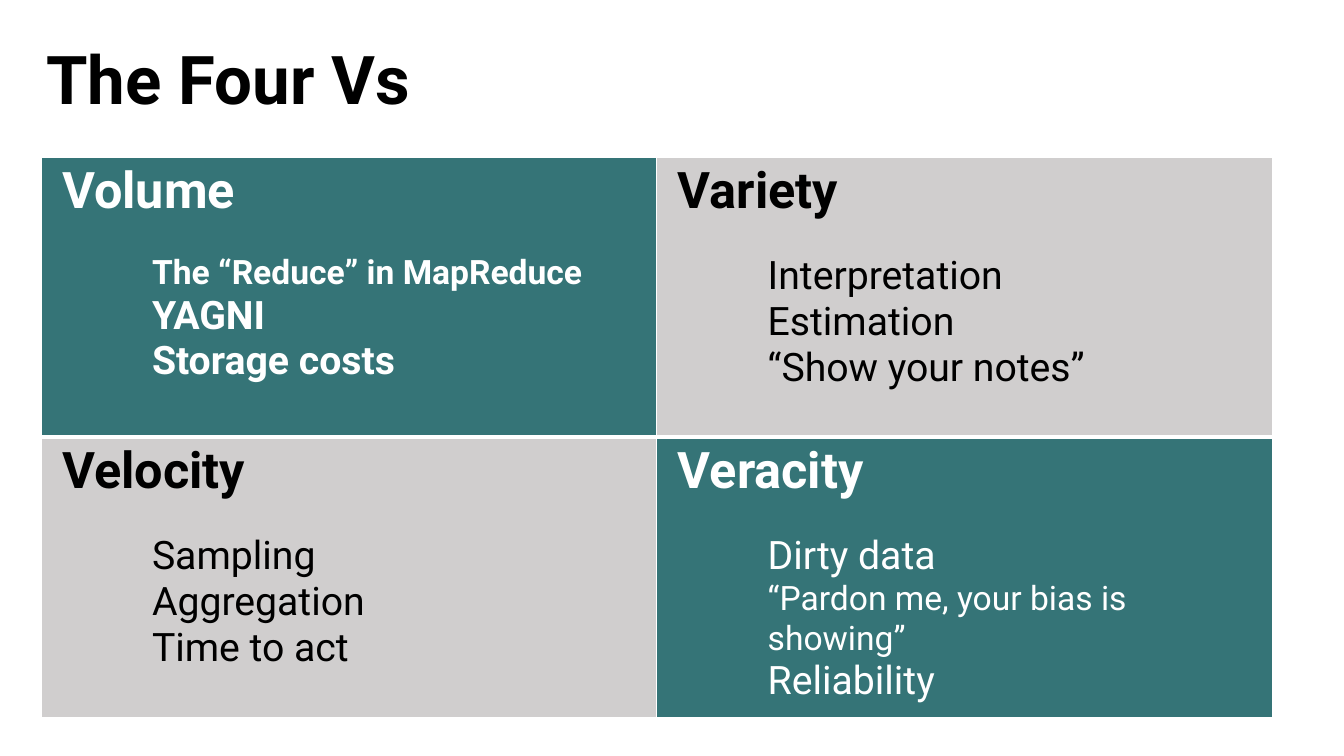
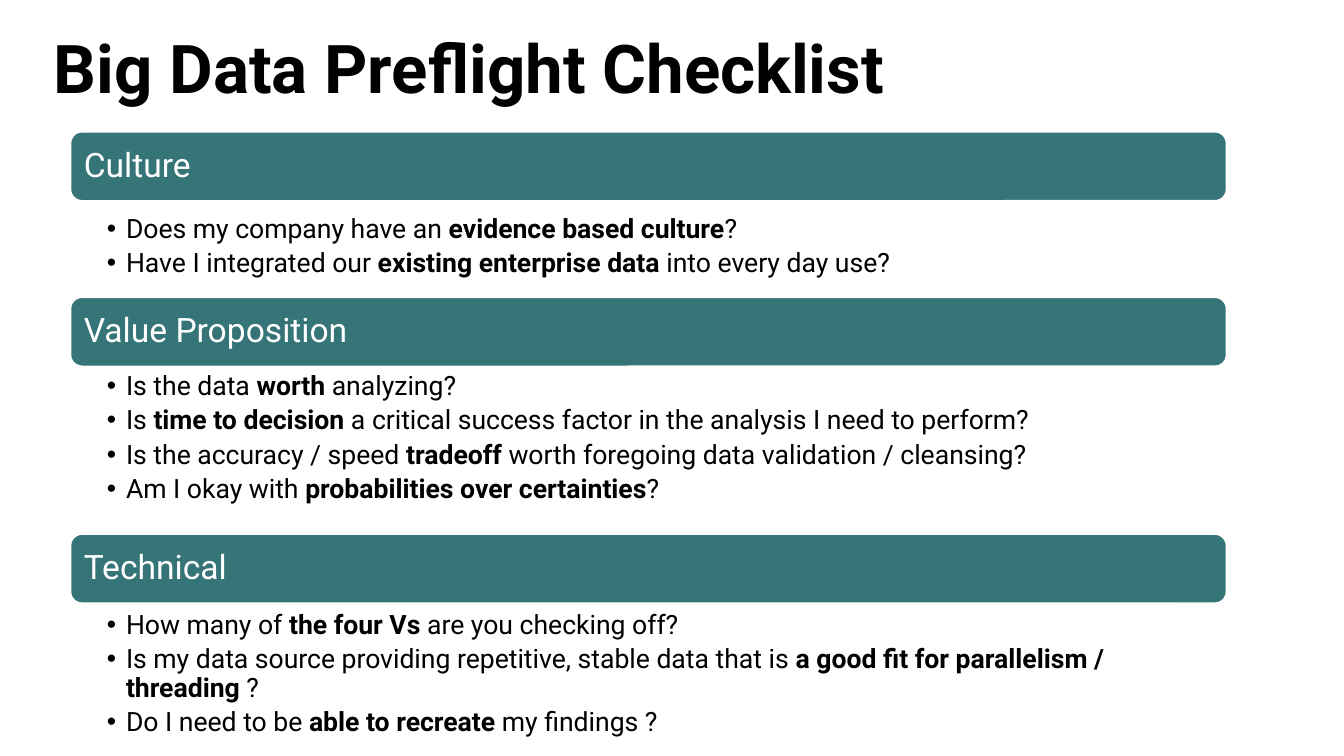
"""Build the two big data slides: the four Vs and the preflight checklist."""
from lxml import etree
from pptx import Presentation
from pptx.dml.color import RGBColor
from pptx.enum.shapes import MSO_SHAPE
from pptx.enum.text import MSO_ANCHOR, MSO_AUTO_SIZE, PP_ALIGN
from pptx.oxml.ns import qn
from pptx.util import Inches, Pt

LEFT = PP_ALIGN.LEFT
TOP, MIDDLE = MSO_ANCHOR.TOP, MSO_ANCHOR.MIDDLE
NO_FIT = MSO_AUTO_SIZE.NONE
ROUNDED = MSO_SHAPE.ROUNDED_RECTANGLE
TITLE_ONLY, COMPARISON = 5, 4
FONT = "Roboto"
COLORS = {"teal": "357477", "gray": "D0CECE", "white": "FFFFFF", "black": "000000"}
GRID_COLUMNS, GRID_ROWS = 160, 90

QUADRANTS = [
    [("Volume", [("The “Reduce” in MapReduce", 24), ("YAGNI", 28), ("Storage costs", 28)], True),
     ("Variety", [("Interpretation", 28), ("Estimation", 28), ("“Show your notes”", 28)], False)],
    [("Velocity", [("Sampling", 28), ("Aggregation", 28), ("Time to act", 28)], False),
     ("Veracity", [("Dirty data", 28), ("“Pardon me, your bias is showing”", 24),
                   ("Reliability", 28)], False)],
]
CHECKLIST = [
    ("Culture", 15.7, 25.3, 9.2, [
        "Does my company have an **evidence based culture**?",
        "Have I integrated our **existing enterprise data** into every day use?"]),
    ("Value Proposition", 35.4, 44, 18.3, [
        "Is the data **worth** analyzing?",
        "Is **time to decision** a critical success factor in the analysis I need to perform?",
        "Is the accuracy / speed **tradeoff** worth foregoing data validation / cleansing?",
        "Am I okay with **probabilities over certainties**?"]),
    ("Technical", 63.6, 72.4, 14, [
        "How many of **the four Vs** are you checking off?",
        "Is my data source providing repetitive, stable data that is "
        "**a good fit for parallelism / threading** ?",
        "Do I need to be **able to recreate** my findings ?"]),
]


def rgb(name):
    return RGBColor.from_string(COLORS[name])


def write(frame, text, size, color="black", bold=False, spacing=1.0, before=0, after=0,
          margin=0, hanging=0, bullet=None):
    last = frame.paragraphs[-1]
    paragraph = frame.add_paragraph() if last.runs else last
    paragraph.alignment = LEFT
    paragraph.line_spacing = spacing
    paragraph.space_before, paragraph.space_after = Pt(before), Pt(after)
    properties = paragraph._p.get_or_add_pPr()
    properties.set("marL", str(Inches(margin)))
    properties.set("indent", str(-Inches(hanging)))
    if bullet:
        etree.SubElement(properties, qn("a:buFont"), typeface="Arial")
        etree.SubElement(properties, qn("a:buChar"), char=bullet)
    for part, words in enumerate(text.split("**")):
        run = paragraph.add_run()
        run.text = words
        run.font.name, run.font.size = FONT, Pt(size)
        run.font.bold = bold or part % 2 == 1
        run.font.color.rgb = rgb(color)


def draw_borders(cell, widths):
    properties = cell._tc.get_or_add_tcPr()
    for position, (side, width) in enumerate(widths.items()):
        border = etree.Element(qn(f"a:ln{side}"), w=str(Pt(width)))
        fill = etree.SubElement(border, qn("a:solidFill"))
        etree.SubElement(fill, qn("a:srgbClr"), val=COLORS["white"])
        properties.insert(position, border)


class Deck:
    def __init__(self):
        self.presentation = Presentation()
        self.presentation.slide_width = Inches(13.333)
        self.presentation.slide_height = Inches(7.5)
        self.column = self.presentation.slide_width / GRID_COLUMNS
        self.row = self.presentation.slide_height / GRID_ROWS
        self.slide = None

    def box(self, left, top, width, height):
        return (round(left * self.column), round(top * self.row),
                round(width * self.column), round(height * self.row))

    def place(self, holder, area, anchor):
        holder.left, holder.top, holder.width, holder.height = self.box(*area)
        frame = holder.text_frame
        frame.word_wrap, frame.auto_size = True, NO_FIT
        frame.vertical_anchor = anchor
        return frame

    def start(self, layout, title, area, anchor):
        layouts = self.presentation.slide_layouts
        self.slide = self.presentation.slides.add_slide(layouts[layout])
        frame = self.place(self.slide.shapes.title, area, anchor)
        write(frame, title, 48, bold=True, spacing=0.9)

    def matrix(self, quadrants, area):
        rows, columns = len(quadrants), len(quadrants[0])
        table = self.slide.shapes.add_table(rows, columns, *self.box(*area)).table
        table.first_row = table.horz_banding = False
        for r, quadrant_row in enumerate(quadrants):
            for c, (heading, points, bold) in enumerate(quadrant_row):
                fill, ink = ("gray", "black") if (r + c) % 2 else ("teal", "white")
                cell = table.cell(r, c)
                cell.fill.solid()
                cell.fill.fore_color.rgb = rgb(fill)
                draw_borders(cell, {"L": 1, "R": 1, "T": 3 if r else 1,
                                    "B": 1 if r else 3})
                write(cell.text_frame, heading, 36, ink, bold=True, margin=0.11)
                for number, (point, size) in enumerate(points):
                    write(cell.text_frame, point, size, ink, bold=bold, margin=1,
                          before=0 if number else 23)

    def bar(self, heading, area):
        bar = self.slide.shapes.add_shape(ROUNDED, *self.box(*area))
        bar.shadow.inherit = False
        bar.fill.solid()
        bar.fill.fore_color.rgb = rgb("teal")
        bar.line.color.rgb = rgb("white")
        bar.line.width = Pt(1)
        bar.text_frame.vertical_anchor = MIDDLE
        write(bar.text_frame, heading, 24, "white", spacing=0.9)

    def questions(self, holder, items, area):
        frame = self.place(holder, area, TOP)
        frame.margin_left, frame.margin_right = Inches(0.36), Inches(0.19)
        frame.margin_top = frame.margin_bottom = Inches(0.03)
        for item in items:
            write(frame, item, 19, spacing=0.9, after=4, margin=0.19, hanging=0.19,
                  bullet="•")

    def checklist(self, sections, left, width, bar_height):
        holders = list(self.slide.placeholders)[1:]
        for holder, (heading, bar_top, list_top, height, items) in zip(holders, sections):
            self.bar(heading, (left, bar_top, width, bar_height))
            self.questions(holder, items, (left, list_top, width, height))
        for spare in holders[len(sections):]:
            spare.element.getparent().remove(spare.element)


def main():
    deck = Deck()
    deck.start(TITLE_ONLY, "The Four Vs", (4.3, 4.8, 144.7, 10.2), MIDDLE)
    deck.matrix(QUADRANTS, (4.9, 18.7, 146.6, 66.7))
    deck.start(COMPARISON, "Big Data Preflight Checklist", (5.2, 3.6, 138, 11.5), TOP)
    deck.checklist(CHECKLIST, left=8.4, width=137.6, bar_height=8.2)
    deck.presentation.save("out.pptx")


if __name__ == "__main__":
    main()
